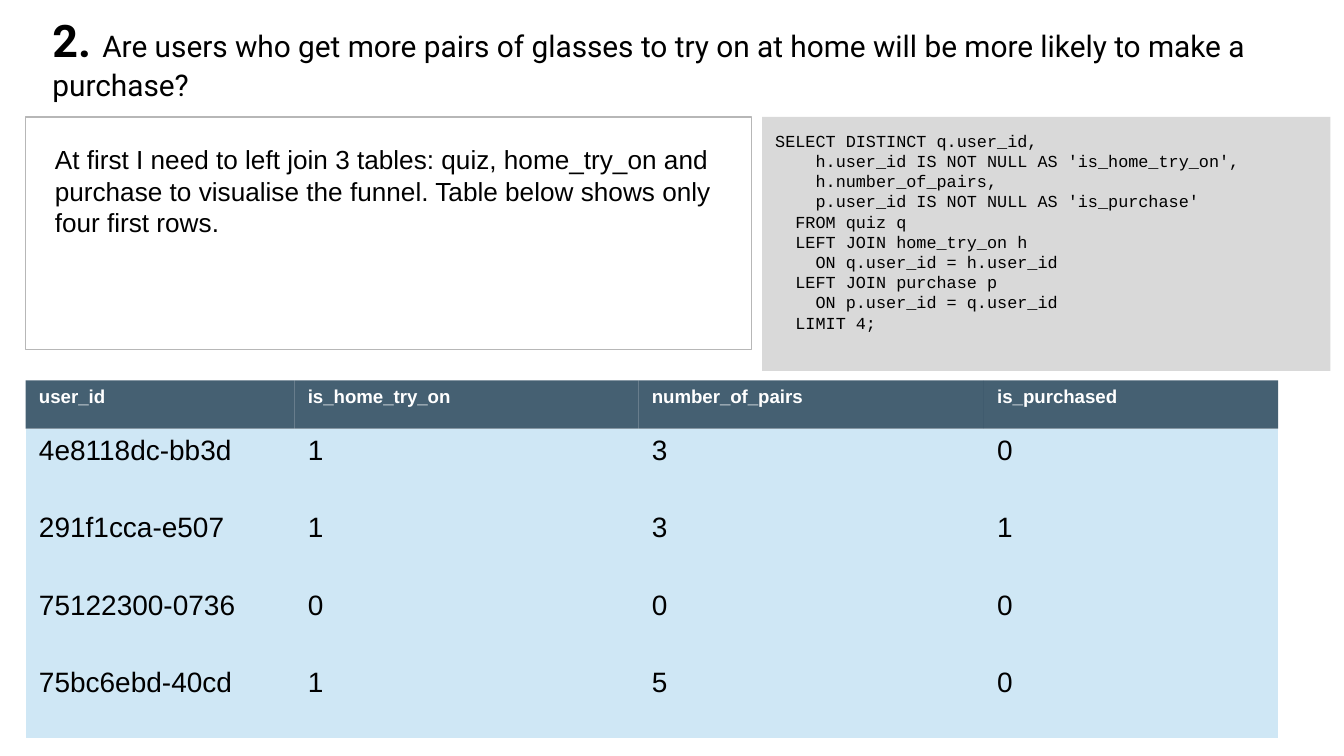
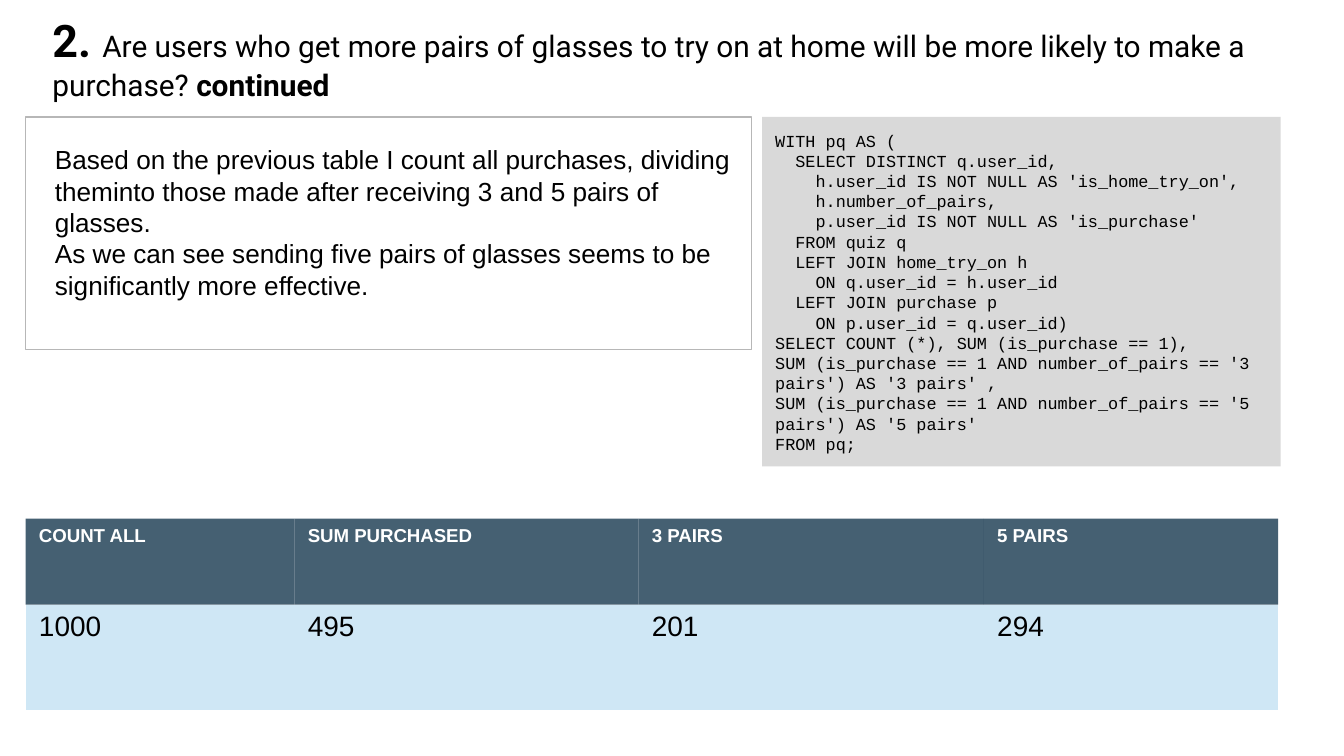
from dataclasses import dataclass

from lxml import etree
from pptx import Presentation
from pptx.dml.color import RGBColor
from pptx.enum.shapes import MSO_SHAPE
from pptx.enum.text import MSO_ANCHOR, MSO_AUTO_SIZE, PP_ALIGN
from pptx.oxml.ns import qn
from pptx.util import Pt

RECTANGLE = MSO_SHAPE.RECTANGLE
TOP, BOTTOM = MSO_ANCHOR.TOP, MSO_ANCHOR.BOTTOM
NO_FIT, GROW = MSO_AUTO_SIZE.NONE, MSO_AUTO_SIZE.SHAPE_TO_FIT_TEXT
LEFT = PP_ALIGN.LEFT
TITLE_ONLY = 5
PLAIN_TABLE_STYLE = "{2D5ABB26-0587-4C30-8999-92F81FD0307C}"
EMU_PER_PX = 9144  # 100 px to the inch
SLIDE_WIDTH = 1000


@dataclass(frozen=True)
class Theme:
    text: str = "000000"
    background: str = "FFFFFF"
    frame: str = "B7B7B7"
    code_fill: str = "D9D9D9"
    header_fill: str = "204056"
    header_opacity: int = 83
    header_text: str = "FFFFFF"
    cell_fill: str = "CFE7F5"
    title_font: str = "Roboto"
    body_font: str = "Arial"
    code_font: str = "Courier New"
    number_size: int = 24
    title_size: int = 16
    body_size: int = 14
    code_size: int = 9
    header_size: int = 10
    cell_size: int = 15


THEME = Theme()

# Boxes are left, top, width, height in px
TITLE_BOX = (29, -16, 932, 102)
FRAME_BOX = (19, 87, 540, 173)
COLUMN_WIDTHS = (200, 256, 257, 219)
QUESTION = ("Are users who get more pairs of glasses to try on at home "
            "will be more likely to make a purchase?")

# Query lines common to both slides
JOINED_COLUMNS = [
    "    h.user_id IS NOT NULL AS 'is_home_try_on',",
    "    h.number_of_pairs,",
    "    p.user_id IS NOT NULL AS 'is_purchase'",
    "  FROM quiz q",
    "  LEFT JOIN home_try_on h",
    "    ON q.user_id = h.user_id",
    "  LEFT JOIN purchase p",
]
FUNNEL_QUERY = [
    "SELECT DISTINCT q.user_id,",
    *JOINED_COLUMNS,
    "    ON p.user_id = q.user_id",
    "  LIMIT 4;",
]
PAIRS_QUERY = [
    "WITH pq AS (",
    "  SELECT DISTINCT q.user_id,",
    *JOINED_COLUMNS,
    "    ON p.user_id = q.user_id)",
    "SELECT COUNT (*), SUM (is_purchase == 1),",
    "SUM (is_purchase == 1 AND number_of_pairs == '3 pairs') AS '3 pairs' ,",
    "SUM (is_purchase == 1 AND number_of_pairs == '5 pairs') AS '5 pairs'",
    "FROM pq;",
]

# Content of each slide
SLIDES = [
    {
        "title_suffix": "",
        "note_box": (31, 102, 514, 75),
        "note": [
            "At first I need to left join 3 tables: quiz, home_try_on and",
            "purchase to visualise the funnel. Table below shows only",
            "four first rows.",
        ],
        "code_box": (567, 87, 423, 189),
        "code": FUNNEL_QUERY,
        "table_box": (19, 283, 932, 266),
        "header_height": 36,
        "rows": [
            ("user_id", "is_home_try_on", "number_of_pairs", "is_purchased"),
            ("4e8118dc-bb3d", "1", "3", "0"),
            ("291f1cca-e507", "1", "3", "1"),
            ("75122300-0736", "0", "0", "0"),
            ("75bc6ebd-40cd", "1", "5", "0"),
        ],
    },
    {
        "title_suffix": "continued",
        "note_box": (31, 102, 524, 119),
        "note": [
            "Based on the previous table I count all purchases, dividing",
            "theminto those made after receiving 3 and 5 pairs of",
            "glasses.",
            "As we can see sending five pairs of glasses seems to be",
            "significantly more effective.",
        ],
        "code_box": (567, 87, 386, 260),
        "code": PAIRS_QUERY,
        "table_box": (19, 386, 932, 142),
        "header_height": 64,
        "rows": [
            ("COUNT ALL", "SUM PURCHASED", "3 PAIRS", "5 PAIRS"),
            ("1000", "495", "201", "294"),
        ],
    },
]


def px(length):
    return round(length * EMU_PER_PX)


def scaled(box):
    return [px(length) for length in box]


def rgb(color):
    return RGBColor.from_string(color)


# Text
def add_run(paragraph, text, font, size, color=THEME.text, bold=False):
    run = paragraph.add_run()
    run.text = text
    run.font.name = font
    run.font.size = Pt(size)
    run.font.bold = bold
    run.font.color.rgb = rgb(color)


def prepare_frame(frame, inset, anchor=TOP, wrap=True, fit=NO_FIT):
    frame.margin_left = frame.margin_right = px(10)
    frame.margin_top = frame.margin_bottom = px(inset)
    frame.vertical_anchor = anchor
    frame.auto_size = fit
    frame.word_wrap = wrap


def add_lines(frame, lines, font, size):
    for index, line in enumerate(lines):
        paragraph = frame.add_paragraph() if index else frame.paragraphs[0]
        paragraph.alignment = LEFT
        add_run(paragraph, line, font, size)


def add_rectangle(slide, box, fill=None, line=None):
    shape = slide.shapes.add_shape(RECTANGLE, *scaled(box))
    shape.shadow.inherit = False
    if fill:
        shape.fill.solid()
        shape.fill.fore_color.rgb = rgb(fill)
    else:
        shape.fill.background()
    if line:
        shape.line.color.rgb = rgb(line)
        shape.line.width = Pt(0.75)
    else:
        shape.line.fill.background()
    return shape


# Title
def place_title(slide, box, suffix):
    title = slide.shapes.title
    title.left, title.top, title.width, title.height = scaled(box)
    prepare_frame(title.text_frame, 10, BOTTOM)
    paragraph = title.text_frame.paragraphs[0]
    paragraph.alignment = LEFT
    add_run(paragraph, "2. ", THEME.title_font, THEME.number_size, bold=True)
    question = f"{QUESTION} " if suffix else QUESTION
    add_run(paragraph, question, THEME.title_font, THEME.title_size)
    if suffix:
        add_run(paragraph, suffix, THEME.title_font, THEME.title_size, bold=True)


# Query panel
def add_code(slide, box, lines):
    panel = add_rectangle(slide, box, fill=THEME.code_fill)
    prepare_frame(panel.text_frame, 10)
    add_lines(panel.text_frame, lines, THEME.code_font, THEME.code_size)


# Explanation
def add_note(slide, box, lines):
    frame = slide.shapes.add_textbox(*scaled(box)).text_frame
    prepare_frame(frame, 5, wrap=False, fit=GROW)
    add_lines(frame, lines, THEME.body_font, THEME.body_size)


# Result table
def fill_cell(cell, text, is_header):
    cell.margin_left = cell.margin_right = px(10)
    cell.margin_top = cell.margin_bottom = px(5)
    cell.fill.solid()
    cell.fill.fore_color.rgb = rgb(THEME.header_fill if is_header else THEME.cell_fill)
    paragraph = cell.text_frame.paragraphs[0]
    if is_header:
        color = cell._tc.tcPr.find(".//" + qn("a:srgbClr"))
        alpha = etree.SubElement(color, qn("a:alpha"))
        alpha.set("val", str(THEME.header_opacity * 1000))
        add_run(paragraph, text, THEME.body_font, THEME.header_size,
                THEME.header_text, bold=True)
    else:
        add_run(paragraph, text, THEME.body_font, THEME.cell_size)


def add_result_table(slide, box, header_height, rows):
    table = slide.shapes.add_table(len(rows), len(COLUMN_WIDTHS), *scaled(box)).table
    table._tbl.tblPr.find(qn("a:tableStyleId")).text = PLAIN_TABLE_STYLE
    for column, width in zip(table.columns, COLUMN_WIDTHS):
        column.width = px(width)
    body_height = (box[3] - header_height) / (len(rows) - 1)
    for row_index, values in enumerate(rows):
        is_header = row_index == 0
        table.rows[row_index].height = px(header_height if is_header else body_height)
        for column_index, value in enumerate(values):
            fill_cell(table.cell(row_index, column_index), value, is_header)


# Whole slide
def build_query_slide(presentation, content):
    slide = presentation.slides.add_slide(presentation.slide_layouts[TITLE_ONLY])
    slide.background.fill.solid()
    slide.background.fill.fore_color.rgb = rgb(THEME.background)
    place_title(slide, TITLE_BOX, content["title_suffix"])
    add_rectangle(slide, FRAME_BOX, line=THEME.frame)
    add_result_table(slide, content["table_box"], content["header_height"], content["rows"])
    add_code(slide, content["code_box"], content["code"])
    add_note(slide, content["note_box"], content["note"])


def main():
    presentation = Presentation()
    presentation.slide_width = px(SLIDE_WIDTH)
    presentation.slide_height = px(SLIDE_WIDTH * 9 / 16)
    for content in SLIDES:
        build_query_slide(presentation, content)
    presentation.save("out.pptx")


if __name__ == "__main__":
    main()
